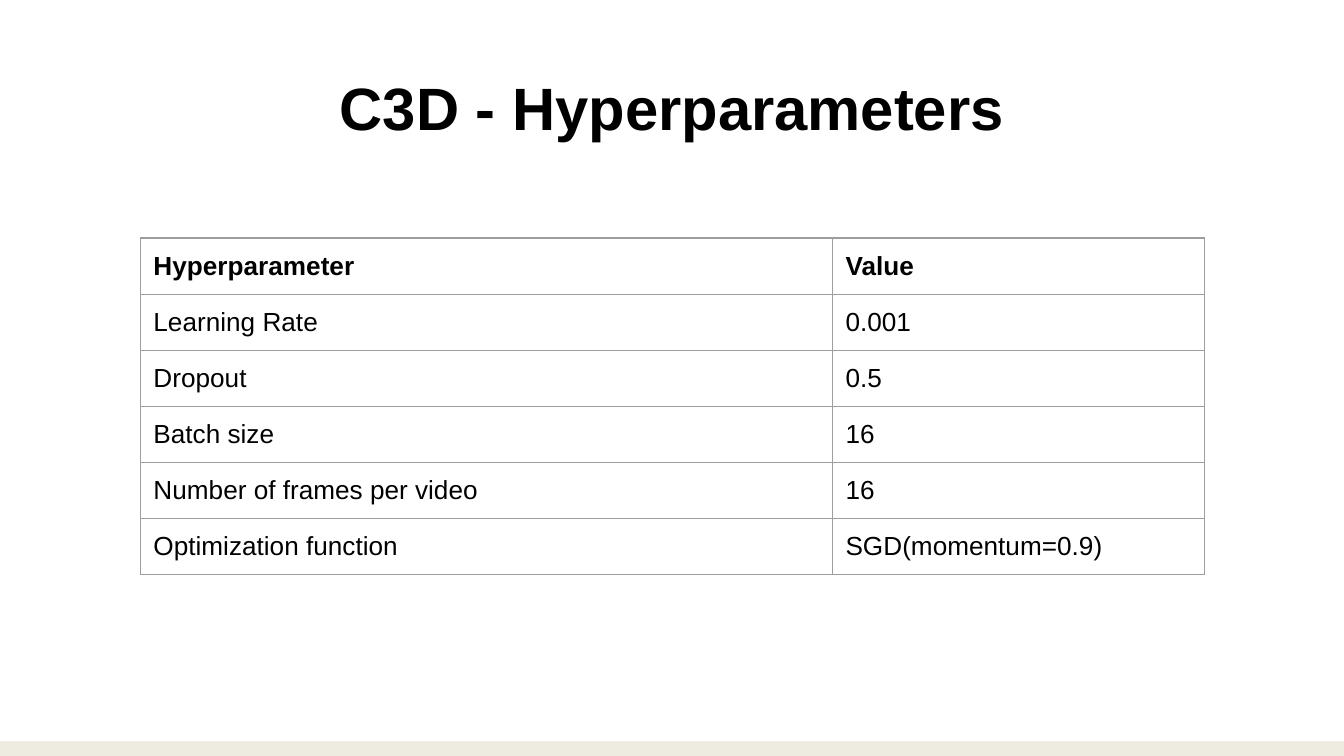
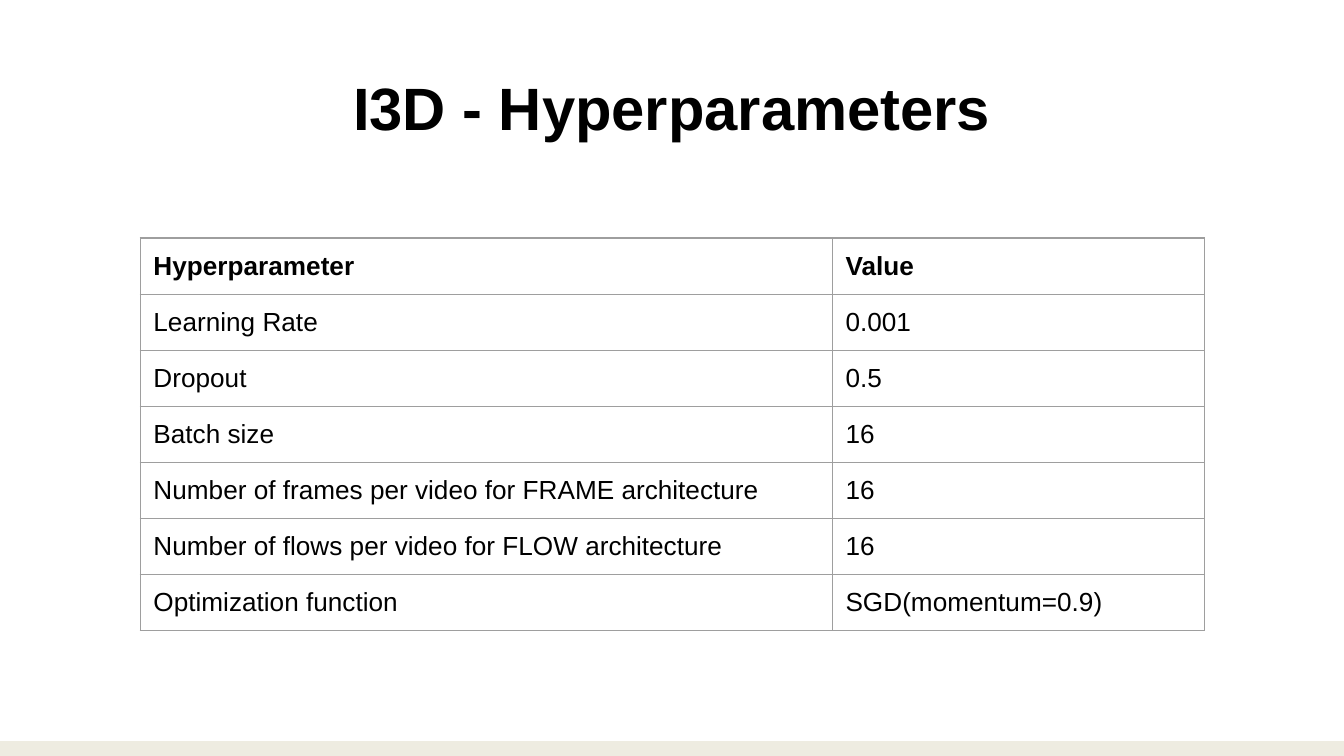
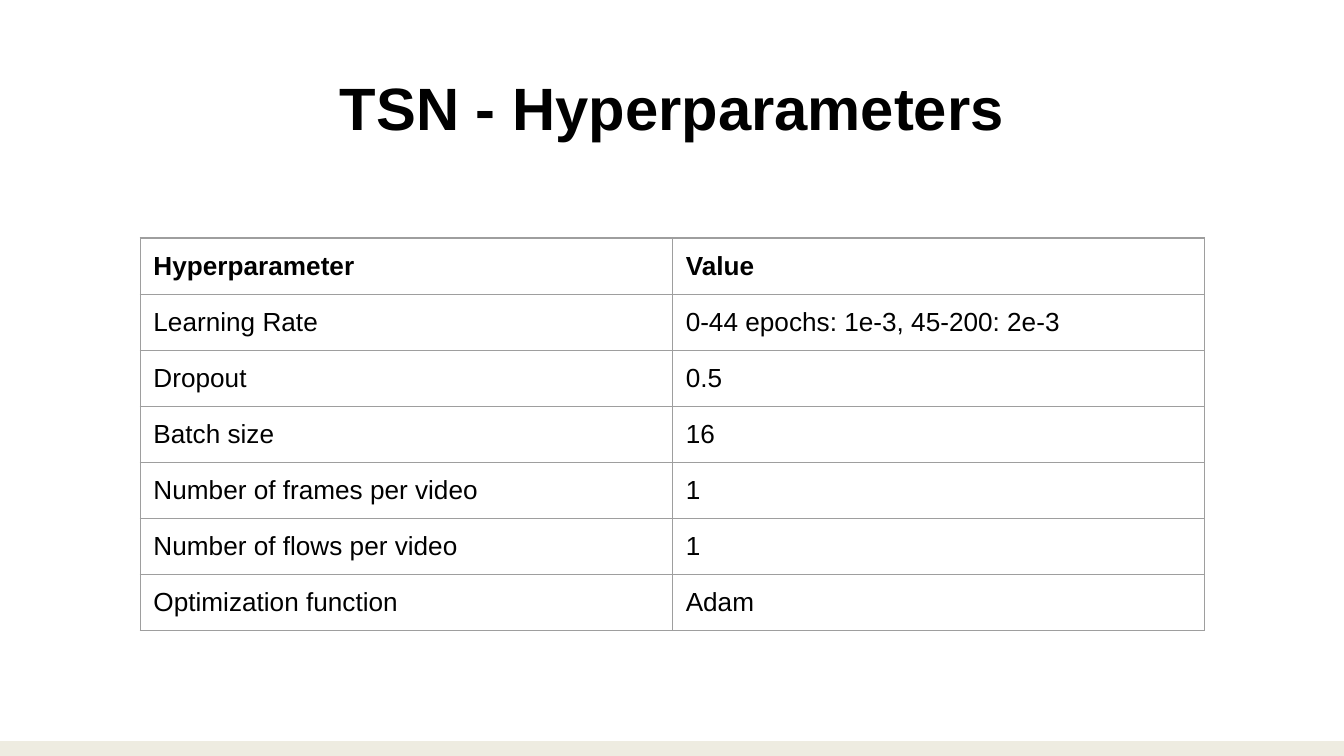
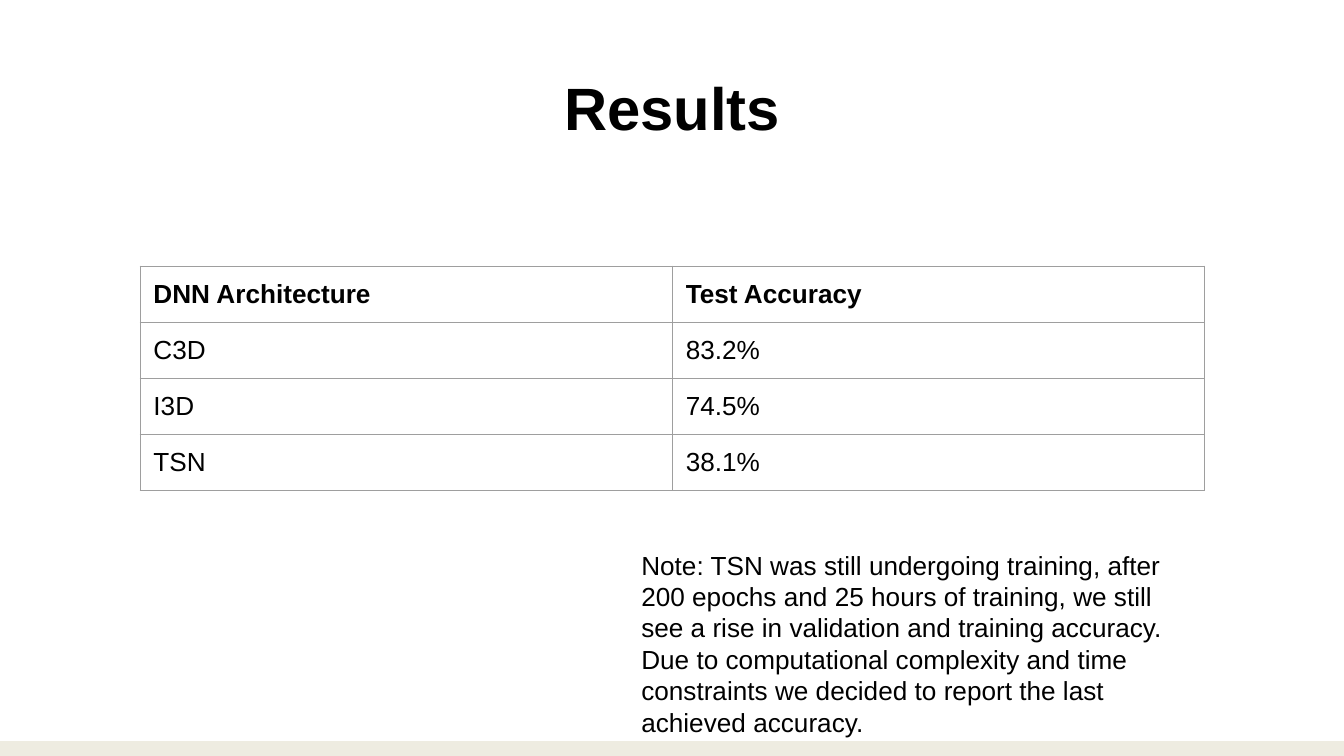
from lxml import etree
from pptx import Presentation
from pptx.dml.color import RGBColor
from pptx.enum.shapes import MSO_SHAPE
from pptx.enum.text import MSO_ANCHOR, PP_ALIGN
from pptx.oxml.ns import qn
from pptx.util import Cm, Pt

RECT = MSO_SHAPE.RECTANGLE
TOP, MIDDLE = MSO_ANCHOR.TOP, MSO_ANCHOR.MIDDLE
LEFT, CENTER = PP_ALIGN.LEFT, PP_ALIGN.CENTER

COLORS = {"text": "000000", "band": "EEECE1", "border": "9E9E9E"}
SLIDE_W, SLIDE_H = 25.4, 14.29
BAND_H = 0.28
BAND_Y = SLIDE_H - BAND_H
TABLE_X, TABLE_W, ROW_H = 2.65, 20.12, 1.06
NOTE_Y = 10.13
PAD = 0.25

TITLE_FONT = {"name": "Arial", "size": Pt(32), "bold": True}
HEAD_FONT = {"name": "Arial", "size": Pt(14), "bold": True}
BODY_FONT = {"name": "Arial", "size": Pt(14), "bold": False}


def set_attrs(obj, values):
    for name, value in values.items():
        setattr(obj, name, value)


def color(name):
    return RGBColor.from_string(COLORS[name])


def padding(top, bottom):
    return {"margin_left": Cm(PAD), "margin_right": Cm(PAD),
            "margin_top": Cm(top), "margin_bottom": Cm(bottom)}


def write(p, text, font):
    """Put text into a paragraph as one formatted run."""
    r = p.add_run()
    r.text = text
    set_attrs(r.font, font)
    r.font.color.rgb = color("text")


def add_text(s, box, text, font, pads, anchor=TOP, align=LEFT):
    tf = s.shapes.add_textbox(*map(Cm, box)).text_frame
    set_attrs(tf, {**padding(*pads), "word_wrap": True, "vertical_anchor": anchor})
    p = tf.paragraphs[0]
    p.alignment = align
    write(p, text, font)


def add_band(s):
    sp = s.shapes.add_shape(RECT, 0, Cm(BAND_Y), Cm(SLIDE_W), Cm(BAND_H))
    sp.shadow.inherit = False
    sp.fill.solid()
    sp.fill.fore_color.rgb = color("band")
    sp.line.fill.background()


def add_borders(cell):
    tc_pr = cell._tc.get_or_add_tcPr()
    for i, side in enumerate(("lnL", "lnR", "lnT", "lnB")):
        ln = etree.Element(qn(f"a:{side}"), w=str(Pt(0.75)))
        fill = etree.SubElement(ln, qn("a:solidFill"))
        etree.SubElement(fill, qn("a:srgbClr"), val=COLORS["border"])
        tc_pr.insert(i, ln)


def add_table(s, top, rows, first_col=TABLE_W / 2):
    """Draw a two-column table whose first row is the header."""
    table = s.shapes.add_table(len(rows), 2, Cm(TABLE_X), Cm(top),
                               Cm(TABLE_W), Cm(ROW_H * len(rows))).table
    set_attrs(table, {"first_row": False, "horz_banding": False})
    for col, width in zip(table.columns, (first_col, TABLE_W - first_col)):
        col.width = Cm(width)
    for i, row in enumerate(rows):
        table.rows[i].height = Cm(ROW_H)
        for j, text in enumerate(row):
            cell = table.cell(i, j)
            set_attrs(cell, padding(PAD, 0.21))
            cell.fill.background()
            add_borders(cell)
            write(cell.text_frame.paragraphs[0], text, BODY_FONT if i else HEAD_FONT)


def add_slide(prs, title):
    """Add a blank slide with the shared band and title."""
    s = prs.slides.add_slide(prs.slide_layouts[6])
    add_band(s)
    add_text(s, (0.87, 0.87, 23.67, 2.31), title, TITLE_FONT, (0.13, 0.13), MIDDLE, CENTER)
    return s


def add_hyperparameters(prs, model, rate, counts, optimizer, first_col=TABLE_W / 2):
    s = add_slide(prs, f"{model} - Hyperparameters")
    rows = [("Hyperparameter", "Value"), ("Learning Rate", rate), ("Dropout", "0.5"),
            ("Batch size", "16"), *counts, ("Optimization function", optimizer)]
    add_table(s, 4.5, rows, first_col)


def main():
    prs = Presentation()
    prs.slide_width, prs.slide_height = Cm(SLIDE_W), Cm(SLIDE_H)

    # Hyperparameters of each model
    sgd, wide = "SGD(momentum=0.9)", 13.08
    add_hyperparameters(prs, "C3D", "0.001", [("Number of frames per video", "16")], sgd, wide)
    add_hyperparameters(prs, "I3D", "0.001", [
        ("Number of frames per video for FRAME architecture", "16"),
        ("Number of flows per video for FLOW architecture", "16")], sgd, wide)
    add_hyperparameters(prs, "TSN", "0-44 epochs: 1e-3, 45-200: 2e-3", [
        ("Number of frames per video", "1"),
        ("Number of flows per video", "1")], "Adam")

    # Results, with a note that ends above the band
    s = add_slide(prs, "Results")
    add_table(s, 5.03, [("DNN Architecture", "Test Accuracy"), ("C3D", "83.2%"),
                        ("I3D", "74.5%"), ("TSN", "38.1%")])
    add_text(s, (11.87, NOTE_Y, 10.87, BAND_Y - NOTE_Y),
             "Note: TSN was still undergoing training, after 200 epochs and 25 hours of "
             "training, we still see a rise in validation and training accuracy. Due to "
             "computational complexity and time constraints we decided to report the last "
             "achieved accuracy.", BODY_FONT, (PAD, 0.05))

    prs.save("out.pptx")


if __name__ == "__main__":
    main()
